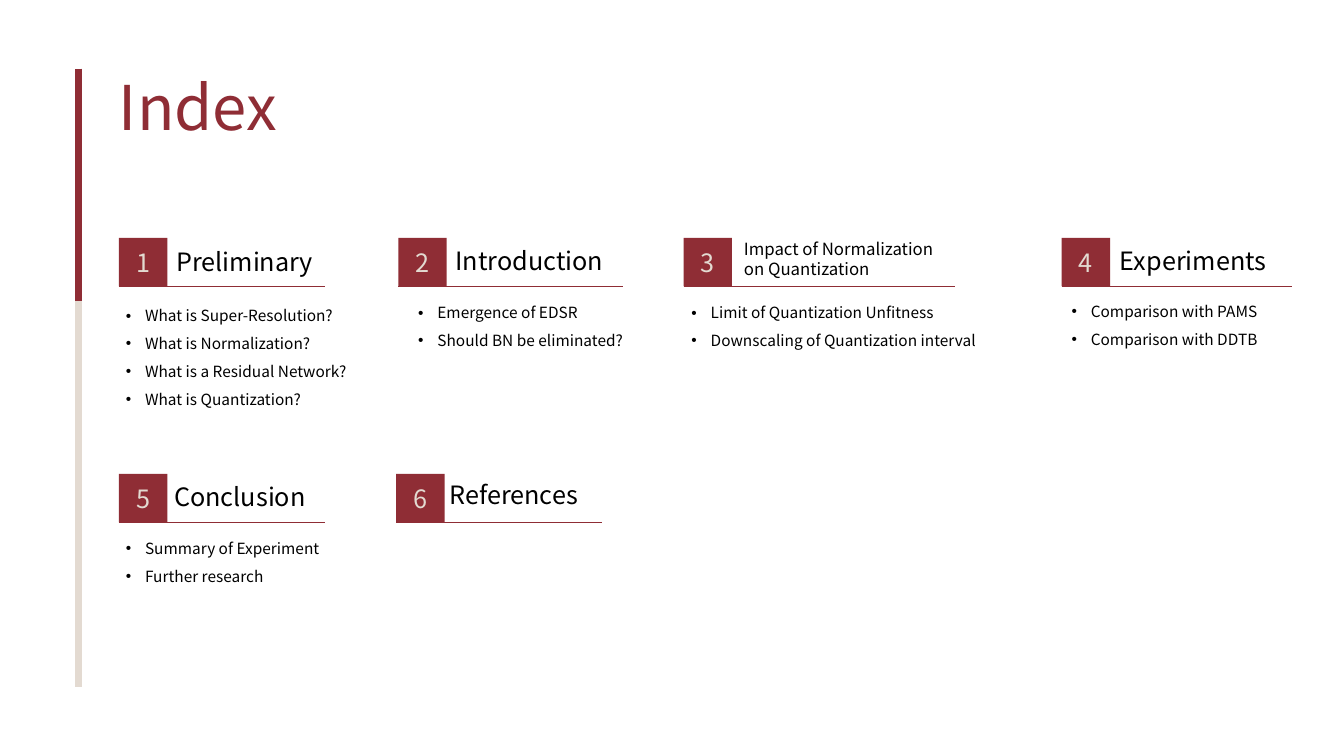
from lxml.etree import SubElement
from pptx import Presentation
from pptx.dml.color import RGBColor
from pptx.enum.shapes import MSO_CONNECTOR as Link, MSO_SHAPE as Shape
from pptx.enum.text import MSO_ANCHOR as Anchor, MSO_AUTO_SIZE as Fit, PP_ALIGN as Align
from pptx.oxml.ns import qn
from pptx.util import Inches, Pt

FONT = "Noto Sans CJK KR"
RED, SAND, BLACK = "8F2D35", "E3DAD1", "000000"
ROWS = (2.36, 4.7)
SIDE = 0.48
BARS = ((6.82, SAND), (2.99, RED))

# Each head and list is placed relative to its number square.
PARTS = [
    {"row": 0, "left": 1.18, "rule": 2.04, "head": ["Preliminary"],
     "size": 18, "spot": (0.47, 0.03, 1.93, 0.45), "zone": (-0.03, 0.54, 2.4, 1.19),
     "list": ["What is Super-Resolution?", "What is Normalization?",
              "What is a Residual Network?", "What is Quantization?"]},
    {"row": 0, "left": 3.95, "rule": 2.23, "head": ["Introduction"],
     "size": 18, "spot": (0.47, 0.02, 1.87, 0.45), "zone": (0.1, 0.51, 2.4, 0.91),
     "list": ["Emergence of EDSR", "Should BN be eliminated?"]},
    {"row": 0, "left": 6.78, "rule": 2.69,
     "head": ["Impact of Normalization", "on Quantization"],
     "size": 12, "spot": (0.5, -0.04, 2.39, 0.57), "zone": (-0.02, 0.51, 3.29, 0.91),
     "list": ["Limit of Quantization Unfitness", "Downscaling of Quantization interval"]},
    {"row": 0, "left": 10.53, "rule": 2.28, "head": ["Experiments"],
     "size": 18, "spot": (0.48, 0.02, 1.94, 0.45), "zone": (0, 0.5, 2.18, 0.63),
     "list": ["Comparison with PAMS", "Comparison with DDTB"]},
    {"row": 1, "left": 1.18, "rule": 2.04, "head": ["Conclusion"],
     "size": 18, "spot": (0.45, 0.03, 1.68, 0.45), "zone": (-0.03, 0.51, 2.4, 0.91),
     "list": ["Summary of Experiment", "Further research"]},
    {"row": 1, "left": 3.93, "rule": 2.04, "head": ["References"],
     "size": 18, "spot": (0.43, 0.01, 1.95, 0.45), "zone": None, "list": []},
]


def color(code):
    """Turn a hex string into a colour."""
    return RGBColor.from_string(code)


def style(frame, size, code, align=Align.LEFT):
    """Format every run of a text frame."""
    for para in frame.paragraphs:
        para.alignment = align
        for run in para.runs:
            run.font.name, run.font.size = FONT, Pt(size)
            run.font.color.rgb = color(code)


def rule(slide, start, end, code, width):
    """Draw a plain straight line."""
    line = slide.shapes.add_connector(Link.STRAIGHT, *map(Inches, start + end))
    line.line.color.rgb, line.line.width = color(code), Pt(width)
    SubElement(line.element.spPr, qn("a:effectLst"))


def label(slide, left, top, area, lines, size):
    """Add a text box offset from a corner and return its frame."""
    dx, dy, wide, high = area
    box = slide.shapes.add_textbox(*map(Inches, (left + dx, top + dy, wide, high)))
    frame = box.text_frame
    frame.word_wrap, frame.auto_size = True, Fit.SHAPE_TO_FIT_TEXT
    frame.text = "\n".join(lines)
    style(frame, size, BLACK)
    return frame


def bullet(frame):
    """Turn the paragraphs of a frame into a bulleted list."""
    for para in frame.paragraphs:
        para.alignment, para.line_spacing = Align.JUSTIFY, 1.5
        props = para._p.get_or_add_pPr()
        props.set("marL", str(Inches(0.19)))
        props.set("indent", str(-Inches(0.19)))
        SubElement(props, qn("a:buFont"), typeface="Arial")
        SubElement(props, qn("a:buChar"), char="•")


def badge(slide, left, top, text):
    """Draw a numbered square."""
    box = slide.shapes.add_shape(Shape.RECTANGLE, *map(Inches, (left, top, SIDE, SIDE)))
    box.shadow.inherit = False
    box.fill.solid()
    box.fill.fore_color.rgb = color(RED)
    box.line.fill.background()
    box.text_frame.text = text
    box.text_frame.vertical_anchor = Anchor.MIDDLE
    style(box.text_frame, 18, SAND, Align.CENTER)


def main():
    """Build the index slide."""
    deck = Presentation()
    deck.slide_width, deck.slide_height = Inches(13.33), Inches(7.5)
    slide = deck.slides.add_slide(deck.slide_layouts[5])
    for end, code in BARS:
        rule(slide, (0.78, 0.68), (0.78, end), code, 4.5)

    title = slide.shapes.title
    title.left, title.top, title.width, title.height = map(Inches, (1.08, 0.73, 1.99, 0.74))
    frame = title.text_frame
    frame.text = "Index"
    frame.auto_size, frame.vertical_anchor = Fit.NONE, Anchor.MIDDLE
    frame.paragraphs[0].line_spacing = 0.9
    style(frame, 44, RED)

    for number, part in enumerate(PARTS, 1):
        left, top = part["left"], ROWS[part["row"]]
        base = top + SIDE
        label(slide, left, top, part["spot"], part["head"], part["size"])
        if part["list"]:
            bullet(label(slide, left, top, part["zone"], part["list"], 11))
        rule(slide, (left, base), (left + part["rule"], base), RED, 0.5)
        badge(slide, left, top, str(number))
    deck.save("out.pptx")


if __name__ == "__main__":
    main()
